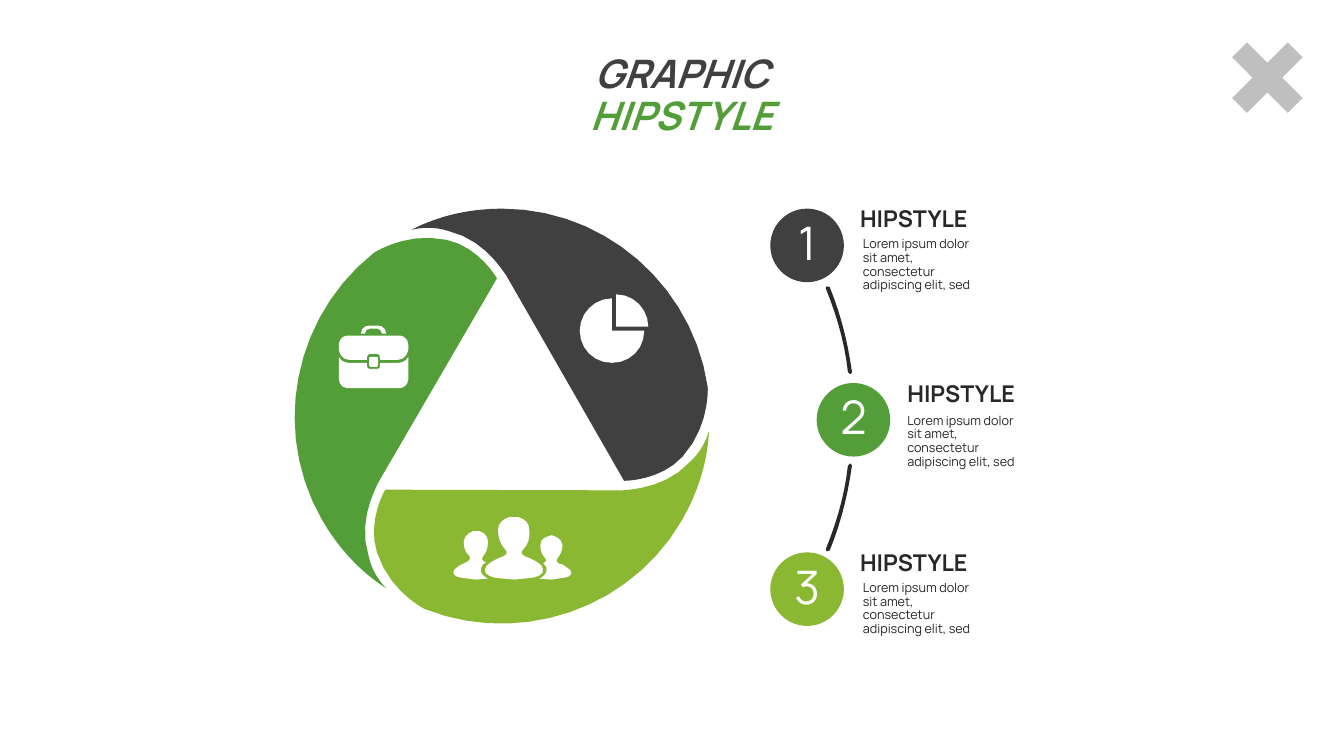
from dataclasses import dataclass
from math import cos, dist, radians, sin, sqrt
from typing import Callable

from pptx import Presentation
from pptx.dml.color import RGBColor
from pptx.enum.shapes import MSO_SHAPE
from pptx.enum.text import MSO_ANCHOR, MSO_AUTO_SIZE, PP_ALIGN
from pptx.shapes.autoshape import Shape
from pptx.slide import Slide
from pptx.util import Inches, Pt

CROSS, OVAL = MSO_SHAPE.CROSS, MSO_SHAPE.OVAL
TOP, MIDDLE = MSO_ANCHOR.TOP, MSO_ANCHOR.MIDDLE
CENTER = PP_ALIGN.CENTER
FIT_SHAPE, NO_FIT = MSO_AUTO_SIZE.SHAPE_TO_FIT_TEXT, MSO_AUTO_SIZE.NONE

DARK = RGBColor(0x40, 0x40, 0x40)
GREEN = RGBColor(0x54, 0x9E, 0x39)
LIME = RGBColor(0x8A, 0xB8, 0x33)
INK = RGBColor(0x28, 0x28, 0x28)
BODY_INK = RGBColor(0x26, 0x26, 0x26)
GRAY = RGBColor(0xBF, 0xBF, 0xBF)
WHITE = RGBColor(0xFF, 0xFF, 0xFF)

FONT = "Manrope"
LINE_SPACING = 0.9
CURVE_DETAIL = 8
CIRCLE_SIZE = 0.73
WHEEL_CENTER = (4.98, 4.13)
ARC_MIRROR_Y = 4.155
BODY_TEXT = "Lorem ipsum dolor sit amet, consectetur adipiscing elit, sed"

Point = tuple[float, float]
Transform = Callable[[Point], Point]


@dataclass(frozen=True)
class Item:
    number: str
    color: RGBColor
    circle: Point
    heading: Point
    body: Point


ITEMS = (
    Item("1", DARK, (7.64, 2.07), (8.53, 2.06), (8.46, 2.31)),
    Item("2", GREEN, (8.1, 3.8), (9, 3.79), (8.9, 4.06)),
    Item("3", LIME, (7.64, 5.48), (8.53, 5.47), (8.46, 5.72)),
)

BLADE = (
    "7.02 3.84/6.87 2.83 6 2.07 4.98 2.07/4.66 2.07 4.35 2.14 4.08 2.28/"
    "4.13 2.27 4.18 2.26 4.24 2.26/4.31 2.26 4.38 2.27 4.44 2.29/"
    "4.81 2.37 5 2.71 5.02 2.73/6.19 4.77/6.28 4.77 6.58 4.74 6.77 4.53/"
    "7.04 4.23 7.02 3.86 7.02 3.84",
)
ARC = (
    "8.43 3.71/8.41 3.69/8.38 3.41 8.3 3.13 8.19 2.86/8.2 2.84/8.23 2.85/"
    "8.34 3.12 8.41 3.4 8.45 3.69/8.44 3.71",
)
PEOPLE = (
    "5.35 5.71/5.29 5.73/5.23 5.74 5.17 5.74 5.1 5.75/"
    "5.02 5.74 4.96 5.74 4.9 5.73/4.85 5.71/"
    "4.8 5.69 4.8 5.64 4.83 5.61/4.86 5.58 4.9 5.56 4.94 5.54/"
    "4.99 5.52/5.03 5.51 5.04 5.47 5.01 5.45/"
    "4.96 5.39 4.94 5.33 4.94 5.26/4.94 5.19 4.99 5.15 5.05 5.13/"
    "5.1 5.13/5.14 5.13/"
    "5.21 5.15 5.25 5.19 5.25 5.26/5.26 5.33 5.24 5.4 5.19 5.45/"
    "5.16 5.47 5.17 5.51 5.21 5.52/5.26 5.54/"
    "5.3 5.56 5.34 5.58 5.37 5.61/5.39 5.63 5.4 5.69 5.35 5.71",
    "5.65 5.65/5.58 5.6/5.54 5.59/"
    "5.52 5.58 5.51 5.55 5.53 5.54/5.56 5.5 5.58 5.46 5.58 5.41/"
    "5.57 5.36 5.54 5.33 5.5 5.32/5.47 5.31/5.44 5.32/"
    "5.39 5.33 5.36 5.36 5.36 5.41/"
    "5.36 5.46 5.37 5.5 5.41 5.54/5.43 5.55 5.42 5.58 5.39 5.59/5.4 5.6/"
    "5.42 5.62 5.43 5.64 5.42 5.67/5.42 5.69 5.4 5.71 5.37 5.73/5.35 5.74/"
    "5.47 5.75/5.6 5.73/5.64 5.72/5.68 5.7 5.67 5.67 5.65 5.65",
    "4.77 5.67/4.77 5.65 4.77 5.62 4.79 5.6/4.82 5.58/"
    "4.8 5.57/4.78 5.56 4.77 5.54 4.79 5.52/4.83 5.48 4.84 5.43 4.84 5.37/"
    "4.84 5.32 4.81 5.29 4.76 5.27/4.72 5.27/4.69 5.27/"
    "4.64 5.29 4.61 5.32 4.6 5.37/"
    "4.6 5.43 4.61 5.48 4.66 5.52/4.67 5.54 4.66 5.56 4.64 5.57/"
    "4.6 5.59/4.57 5.6 4.54 5.62 4.51 5.65/"
    "4.49 5.67 4.49 5.7 4.53 5.72/4.57 5.73/"
    "4.72 5.75/4.84 5.74/4.82 5.73/4.79 5.71 4.77 5.69 4.77 5.67",
)
BRIEFCASE = (
    "3.83 3.31/3.79 3.31/3.78 3.28 3.77 3.26 3.74 3.26/3.67 3.26/"
    "3.64 3.26 3.62 3.28 3.62 3.31/3.58 3.31/3.58 3.26 3.62 3.23 3.66 3.23/"
    "3.75 3.23/3.79 3.23 3.83 3.26 3.83 3.31",
    "3.46 3.57/3.64 3.57/3.64 3.55/3.64 3.53 3.65 3.51 3.67 3.51/3.74 3.51/"
    "3.76 3.51 3.77 3.53 3.77 3.55/3.77 3.57/3.95 3.57/"
    "4 3.57 4.04 3.53 4.05 3.47/4.05 3.42/4.05 3.37 4.01 3.33 3.97 3.33/"
    "3.44 3.33/3.4 3.33 3.36 3.37 3.36 3.42/3.36 3.47/"
    "3.37 3.53 3.41 3.57 3.46 3.57",
    "3.95 3.6/3.77 3.6/3.77 3.63/3.77 3.65 3.76 3.66 3.74 3.66/3.67 3.66/"
    "3.65 3.66 3.64 3.65 3.64 3.63/3.64 3.6/3.46 3.6/"
    "3.42 3.6 3.38 3.58 3.36 3.54/3.36 3.76/3.36 3.81 3.4 3.85 3.44 3.85/"
    "3.97 3.85/4.01 3.85 4.05 3.81 4.05 3.76/4.05 3.54/"
    "4.03 3.58 3.99 3.6 3.95 3.6",
    "3.74 3.54/3.67 3.54/3.66 3.55/3.66 3.62/3.67 3.64/3.74 3.64/"
    "3.75 3.62/3.75 3.55",
)
PIE = (
    "6.07 3.28/6.39 3.28/6.39 3.46 6.25 3.6 6.07 3.6/"
    "5.89 3.6 5.75 3.46 5.75 3.28/5.75 3.11 5.89 2.96 6.07 2.96",
    "6.11 2.92/6.11 3.24/6.43 3.24/6.43 3.07 6.29 2.92 6.11 2.92",
)


def unchanged(point: Point) -> Point:
    return point


def mirrored(point: Point) -> Point:
    return point[0], 2 * ARC_MIRROR_Y - point[1]


def turned(degrees: float) -> Transform:
    cosine, sine = cos(radians(degrees)), sin(radians(degrees))
    center_x, center_y = WHEEL_CENTER

    def turn(point: Point) -> Point:
        x, y = point[0] - center_x, point[1] - center_y
        return center_x + x * cosine - y * sine, center_y + x * sine + y * cosine

    return turn


def trace(contour: str) -> list[Point]:
    points: list[Point] = []
    for segment in contour.split("/"):
        values = [float(value) for value in segment.split()]
        pairs = list(zip(values[::2], values[1::2]))
        if len(pairs) == 1:
            points += pairs
            continue
        controls = [points[-1], *pairs]
        length = sum(dist(start, end) for start, end in zip(controls, pairs))
        steps = max(1, round(CURVE_DETAIL * sqrt(length)))
        for step in range(1, steps + 1):
            t = step / steps
            weights = ((1 - t) ** 3, 3 * t * (1 - t) ** 2, 3 * t * t * (1 - t), t ** 3)
            points.append(tuple(sum(weight * control[axis] for weight, control
                                    in zip(weights, controls)) for axis in (0, 1)))
    return points


def paint(shape: Shape, color: RGBColor) -> None:
    shape.shadow.inherit = False
    shape.fill.solid()
    shape.fill.fore_color.rgb = color
    shape.line.fill.background()


def add_outline(slide: Slide, contours: tuple[str, ...], color: RGBColor,
                transform: Transform = unchanged) -> None:
    builder = None
    for contour in contours:
        points = [tuple(map(Inches, transform(point))) for point in trace(contour)]
        if builder is None:
            builder = slide.shapes.build_freeform(*points[0])
        else:
            builder.move_to(*points[0])
        builder.add_line_segments(points[1:], close=True)
    paint(builder.convert_to_shape(), color)


def write(shape: Shape, text: str, size: float, color: RGBColor,
          bold: bool = False, tight: bool = True) -> None:
    frame = shape.text_frame
    frame.word_wrap = not tight
    if tight:
        frame.margin_left = frame.margin_top = frame.margin_right = frame.margin_bottom = 0
    paragraph = frame.paragraphs[0]
    paragraph.text = text
    paragraph.line_spacing = LINE_SPACING
    font = paragraph.font
    font.name, font.size, font.bold = FONT, Pt(size), bold
    font.color.rgb = color


def add_text(slide: Slide, position: Point, size: Point, text: str, points: float,
             color: RGBColor, bold: bool = False, tight: bool = True) -> None:
    box = slide.shapes.add_textbox(*map(Inches, position + size))
    write(box, text, points, color, bold, tight)
    box.text_frame.auto_size = FIT_SHAPE


def add_title(slide: Slide) -> None:
    title = slide.shapes.title
    title.left, title.top, title.width, title.height = map(Inches, (4.88, 0.49, 3.76, 0.57))
    write(title, "GRAPHIC", 28, DARK, bold=True, tight=False)
    title.text_frame.auto_size = NO_FIT
    title.text_frame.vertical_anchor = TOP
    paragraph = title.text_frame.paragraphs[0]
    paragraph.alignment = CENTER
    paragraph.font.italic = True
    run = paragraph.add_run()
    run.text = " HIPSTYLE"
    run.font.color.rgb = GREEN


def add_item(slide: Slide, item: Item) -> None:
    circle = slide.shapes.add_shape(OVAL, *map(Inches, item.circle + (CIRCLE_SIZE, CIRCLE_SIZE)))
    paint(circle, item.color)
    write(circle, item.number, 33, WHITE)
    circle.text_frame.vertical_anchor = MIDDLE
    circle.text_frame.paragraphs[0].alignment = CENTER
    add_text(slide, item.heading, (1.09, 0.28), "HIPSTYLE", 16.5, INK, bold=True)
    add_text(slide, item.body, (1.39, 0.71), BODY_TEXT, 9, BODY_INK, tight=False)


presentation = Presentation()
presentation.slide_width, presentation.slide_height = Inches(13.33), Inches(7.5)
slide = presentation.slides.add_slide(presentation.slide_layouts[5])
add_title(slide)

cross = slide.shapes.add_shape(CROSS, *map(Inches, (12.18, 0.38, 0.78, 0.78)))
cross.adjustments[0] = 0.366
cross.rotation = 45
paint(cross, GRAY)

for index, blade_color in enumerate((DARK, LIME, GREEN)):
    add_outline(slide, BLADE, blade_color, turned(120 * index))
for icon in (PEOPLE, BRIEFCASE, PIE):
    add_outline(slide, icon, WHITE)
for arc_transform in (unchanged, mirrored):
    add_outline(slide, ARC, INK, arc_transform)
for item in ITEMS:
    add_item(slide, item)

presentation.save("out.pptx")
